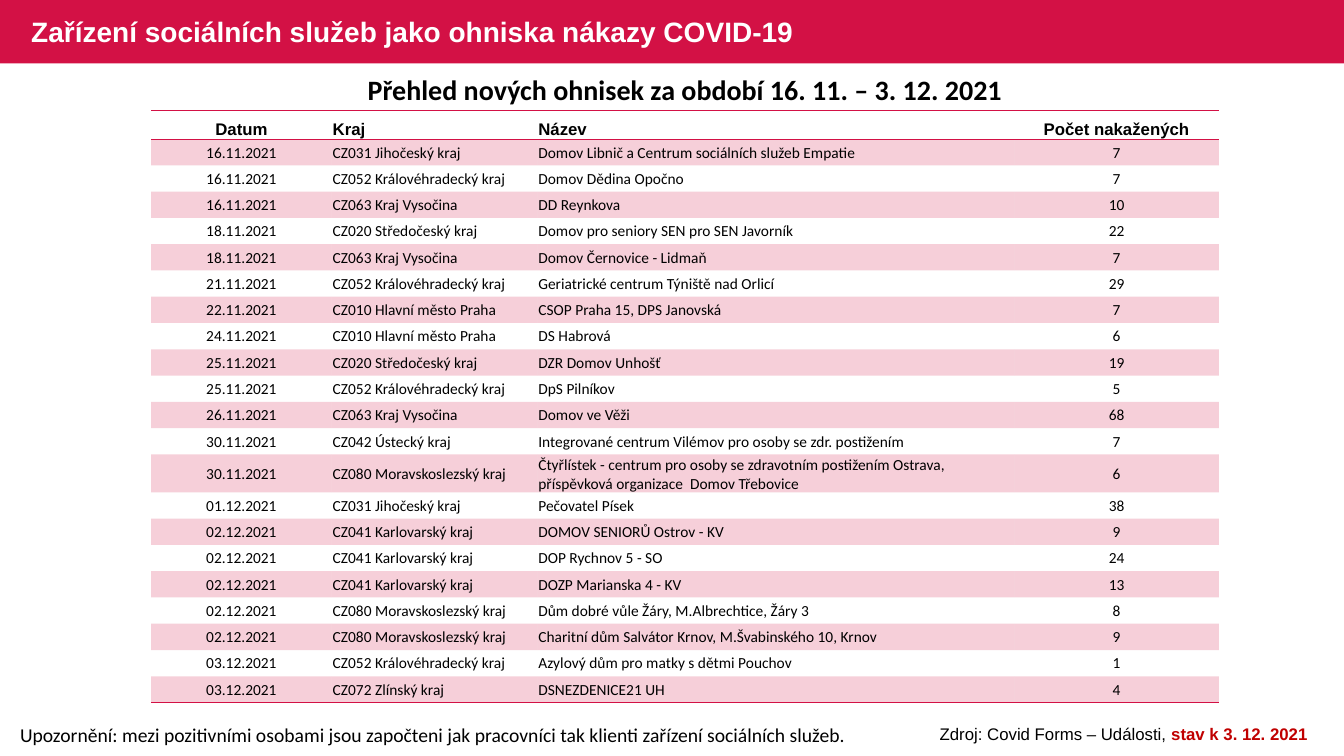
from lxml.etree import SubElement
from pptx import Presentation
from pptx.dml.color import RGBColor
from pptx.enum.shapes import MSO_SHAPE
from pptx.enum.text import MSO_ANCHOR, MSO_AUTO_SIZE, PP_ALIGN
from pptx.oxml import parse_xml
from pptx.oxml.ns import nsdecls, qn
from pptx.util import Inches, Pt

CRIMSON = RGBColor(0xD3, 0x11, 0x45)
DARK_RED = RGBColor(0xC0, 0x00, 0x00)
BLACK = RGBColor(0, 0, 0)
WHITE = RGBColor(0xFF, 0xFF, 0xFF)

PLAIN_TABLE_STYLE = "{2D5ABB26-0587-4C30-8999-92F81FD0307C}"
BAND_ALPHA = "20000"
COLUMN_WIDTHS = (1.79, 2.04, 4.73, 2.03)
COLUMN_ALIGNMENTS = (PP_ALIGN.CENTER, PP_ALIGN.LEFT, PP_ALIGN.LEFT, PP_ALIGN.CENTER)
HEADER_HEIGHT = 0.28
TWO_LINE_ROW, TWO_LINE_HEIGHT = 13, 0.37

HEADER_FORMAT = dict(name="Arial", size=Pt(12), bold=True)
BODY_FORMAT = dict(name="Calibri", size=Pt(11), bold=False)

HEADERS = ("Datum", "Kraj", "Název", "Počet nakažených")
OUTBREAKS = (
    ("16.11.2021", "CZ031 Jihočeský kraj", "Domov Libnič a Centrum sociálních služeb Empatie", 7),
    ("16.11.2021", "CZ052 Královéhradecký kraj", "Domov Dědina Opočno", 7),
    ("16.11.2021", "CZ063 Kraj Vysočina", "DD Reynkova", 10),
    ("18.11.2021", "CZ020 Středočeský kraj", "Domov pro seniory SEN pro SEN Javorník", 22),
    ("18.11.2021", "CZ063 Kraj Vysočina", "Domov Černovice - Lidmaň", 7),
    ("21.11.2021", "CZ052 Královéhradecký kraj", "Geriatrické centrum Týniště nad Orlicí", 29),
    ("22.11.2021", "CZ010 Hlavní město Praha", "CSOP Praha 15, DPS Janovská", 7),
    ("24.11.2021", "CZ010 Hlavní město Praha", "DS Habrová", 6),
    ("25.11.2021", "CZ020 Středočeský kraj", "DZR Domov Unhošť", 19),
    ("25.11.2021", "CZ052 Královéhradecký kraj", "DpS Pilníkov", 5),
    ("26.11.2021", "CZ063 Kraj Vysočina", "Domov ve Věži", 68),
    ("30.11.2021", "CZ042 Ústecký kraj", "Integrované centrum Vilémov pro osoby se zdr. postižením", 7),
    ("30.11.2021", "CZ080 Moravskoslezský kraj",
     "Čtyřlístek - centrum pro osoby se zdravotním postižením Ostrava, "
     "příspěvková organizace  Domov Třebovice", 6),
    ("01.12.2021", "CZ031 Jihočeský kraj", "Pečovatel Písek", 38),
    ("02.12.2021", "CZ041 Karlovarský kraj", "DOMOV SENIORŮ Ostrov - KV", 9),
    ("02.12.2021", "CZ041 Karlovarský kraj", "DOP Rychnov 5 - SO", 24),
    ("02.12.2021", "CZ041 Karlovarský kraj", "DOZP Marianska 4 - KV", 13),
    ("02.12.2021", "CZ080 Moravskoslezský kraj", "Dům dobré vůle Žáry, M.Albrechtice, Žáry 3", 8),
    ("02.12.2021", "CZ080 Moravskoslezský kraj", "Charitní dům Salvátor Krnov, M.Švabinského 10, Krnov", 9),
    ("03.12.2021", "CZ052 Královéhradecký kraj", "Azylový dům pro matky s dětmi Pouchov", 1),
    ("03.12.2021", "CZ072 Zlínský kraj", "DSNEZDENICE21 UH", 4),
)


def format_font(font, color, **values):
    font.color.rgb = color
    for name, value in values.items():
        setattr(font, name, value)


def add_title_band(slide, left, top, width, height):
    band = slide.shapes.add_shape(
        MSO_SHAPE.RECTANGLE, Inches(left), Inches(top), Inches(width), Inches(height))
    band.shadow.inherit = False
    band.fill.solid()
    band.fill.fore_color.rgb = CRIMSON
    band.line.fill.background()

    title = slide.shapes.title
    title.left, title.top = Inches(left + 0.21), Inches(top + 0.02)
    title.width, title.height = Inches(8.13), Inches(height)
    title._element.addprevious(band._element)
    frame = title.text_frame
    frame.text = "Zařízení sociálních služeb jako ohniska nákazy COVID-19"
    frame.vertical_anchor = MSO_ANCHOR.MIDDLE
    frame.auto_size = MSO_AUTO_SIZE.NONE
    paragraph = frame.paragraphs[0]
    paragraph.alignment = PP_ALIGN.LEFT
    paragraph.line_spacing = 0.9
    format_font(paragraph.runs[0].font, WHITE, name="Arial", size=Pt(20), bold=True)


def add_text(slide, left, top, width, height, alignment, runs):
    """Add a one-paragraph text box; runs are (text, color, font values)."""
    box = slide.shapes.add_textbox(Inches(left), Inches(top), Inches(width), Inches(height))
    frame = box.text_frame
    frame.word_wrap = True
    frame.auto_size = MSO_AUTO_SIZE.SHAPE_TO_FIT_TEXT
    paragraph = frame.paragraphs[0]
    paragraph.alignment = alignment
    for text, color, values in runs:
        run = paragraph.add_run()
        run.text = text
        format_font(run.font, color, **values)


def add_borders(cell, *sides):
    """Draw cell borders; sides are given in the order lnT, lnB."""
    properties = cell._tc.get_or_add_tcPr()
    for side in reversed(sides):
        properties.insert(0, parse_xml(
            f'<a:{side} {nsdecls("a")} w="12700"><a:solidFill>'
            f'<a:srgbClr val="{CRIMSON}"/></a:solidFill></a:{side}>'))


def fill_band(cell):
    cell.fill.solid()
    cell.fill.fore_color.rgb = CRIMSON
    color = cell._tc.tcPr.find(".//" + qn("a:srgbClr"))
    SubElement(color, qn("a:alpha"), val=BAND_ALPHA)


def fill_cell(cell, text, alignment, is_header):
    cell.margin_left = cell.margin_right = Inches(0.01)
    cell.margin_top = Inches(0 if is_header else 0.01)
    cell.margin_bottom = 0
    cell.vertical_anchor = MSO_ANCHOR.BOTTOM if is_header else MSO_ANCHOR.MIDDLE
    paragraph = cell.text_frame.paragraphs[0]
    paragraph.alignment = alignment
    run = paragraph.add_run()
    run.text = str(text)
    format_font(run.font, BLACK, **(HEADER_FORMAT if is_header else BODY_FORMAT))


def add_outbreak_table(slide, left, top, width, height):
    records = (HEADERS, *OUTBREAKS)
    table = slide.shapes.add_table(
        len(records), len(HEADERS),
        Inches(left), Inches(top), Inches(width), Inches(height)).table
    table._tbl.tblPr.find(qn("a:tableStyleId")).text = PLAIN_TABLE_STYLE
    table.horz_banding = False
    for column, column_width in zip(table.columns, COLUMN_WIDTHS):
        column.width = Inches(column_width)

    row_height = (height - HEADER_HEIGHT - TWO_LINE_HEIGHT) / (len(records) - 2)
    special_heights = {0: HEADER_HEIGHT, TWO_LINE_ROW: TWO_LINE_HEIGHT}
    for index, record in enumerate(records):
        table.rows[index].height = Inches(special_heights.get(index, row_height))
        for column_index, (text, alignment) in enumerate(zip(record, COLUMN_ALIGNMENTS)):
            cell = table.cell(index, column_index)
            fill_cell(cell, text, alignment, is_header=index == 0)
            if index % 2:
                fill_band(cell)
            else:
                cell.fill.background()
            if index == 0:
                add_borders(cell, "lnT", "lnB")
            elif index == len(records) - 1:
                add_borders(cell, "lnB")


def add_footer(slide, left, top, width, height):
    note_width, source_width = 8.52, 4.17
    note_format = dict(name="Calibri", size=Pt(14))
    source_format = dict(name="Arial", size=Pt(12))
    add_text(slide, left, top, note_width, height, PP_ALIGN.LEFT, [
        ("Upozornění: mezi pozitivními osobami jsou započteni jak pracovníci "
         "tak klienti zařízení sociálních služeb.", BLACK, note_format)])
    add_text(slide, left + width - source_width, top + 0.01, source_width, 0.3, PP_ALIGN.CENTER, [
        ("Zdroj: Covid Forms – Události, ", BLACK, source_format),
        ("stav k 3. 12. 2021", DARK_RED, dict(source_format, bold=True))])


def main():
    presentation = Presentation()
    presentation.slide_width = Inches(13.33)
    presentation.slide_height = Inches(7.5)
    slide = presentation.slides.add_slide(presentation.slide_layouts[5])
    add_title_band(slide, 0, 0, 13.33, 0.63)
    add_text(slide, 0.53, 0.67, 12.53, 0.44, PP_ALIGN.CENTER, [
        ("Přehled nových ohnisek za období 16. 11. – 3. 12. 2021", BLACK,
         dict(name="Calibri", size=Pt(20), bold=True))])
    add_outbreak_table(slide, 1.5, 1.1, sum(COLUMN_WIDTHS), 5.87)
    add_footer(slide, 0.1, 7.12, 13.13, 0.34)
    presentation.save("out.pptx")


if __name__ == "__main__":
    main()
